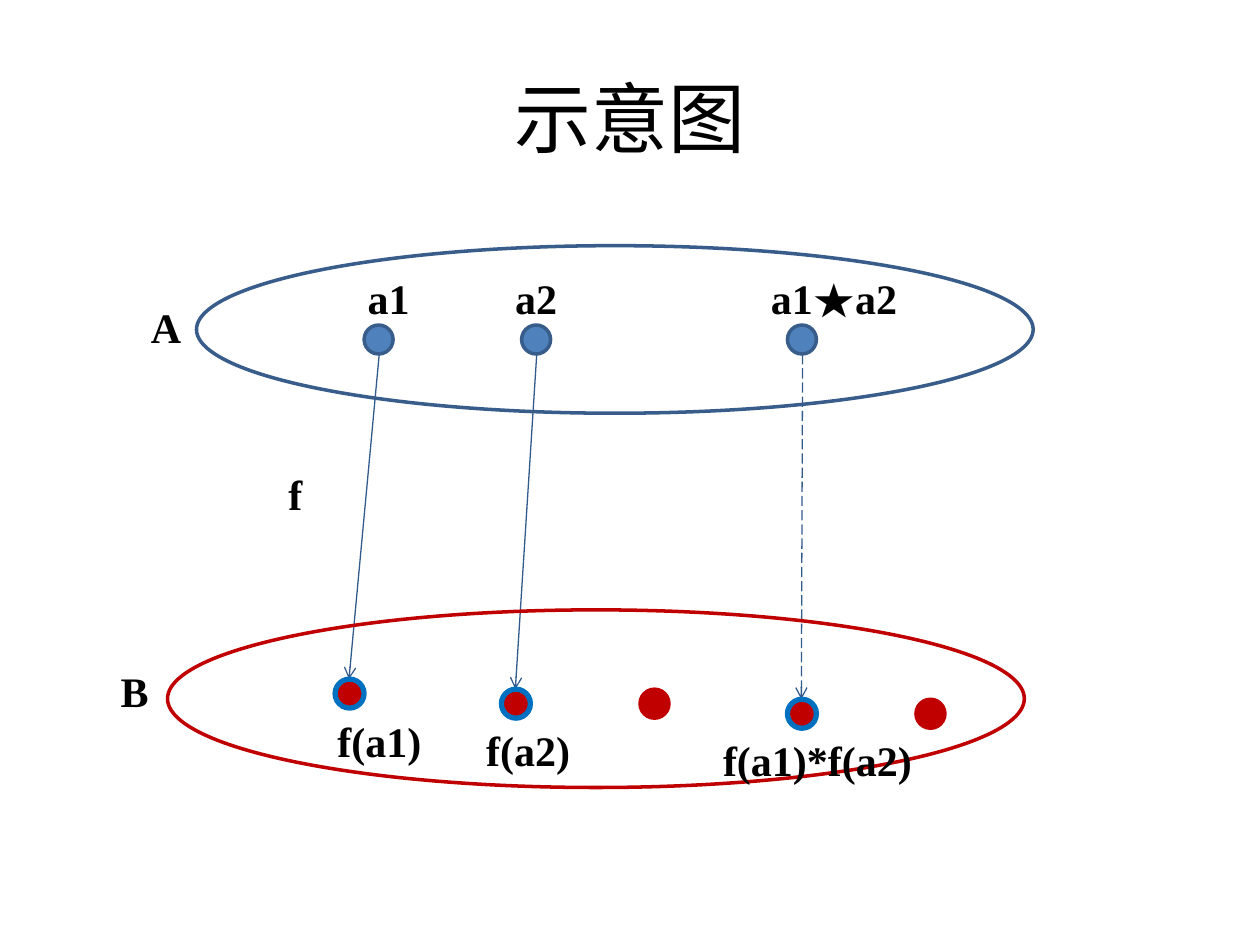
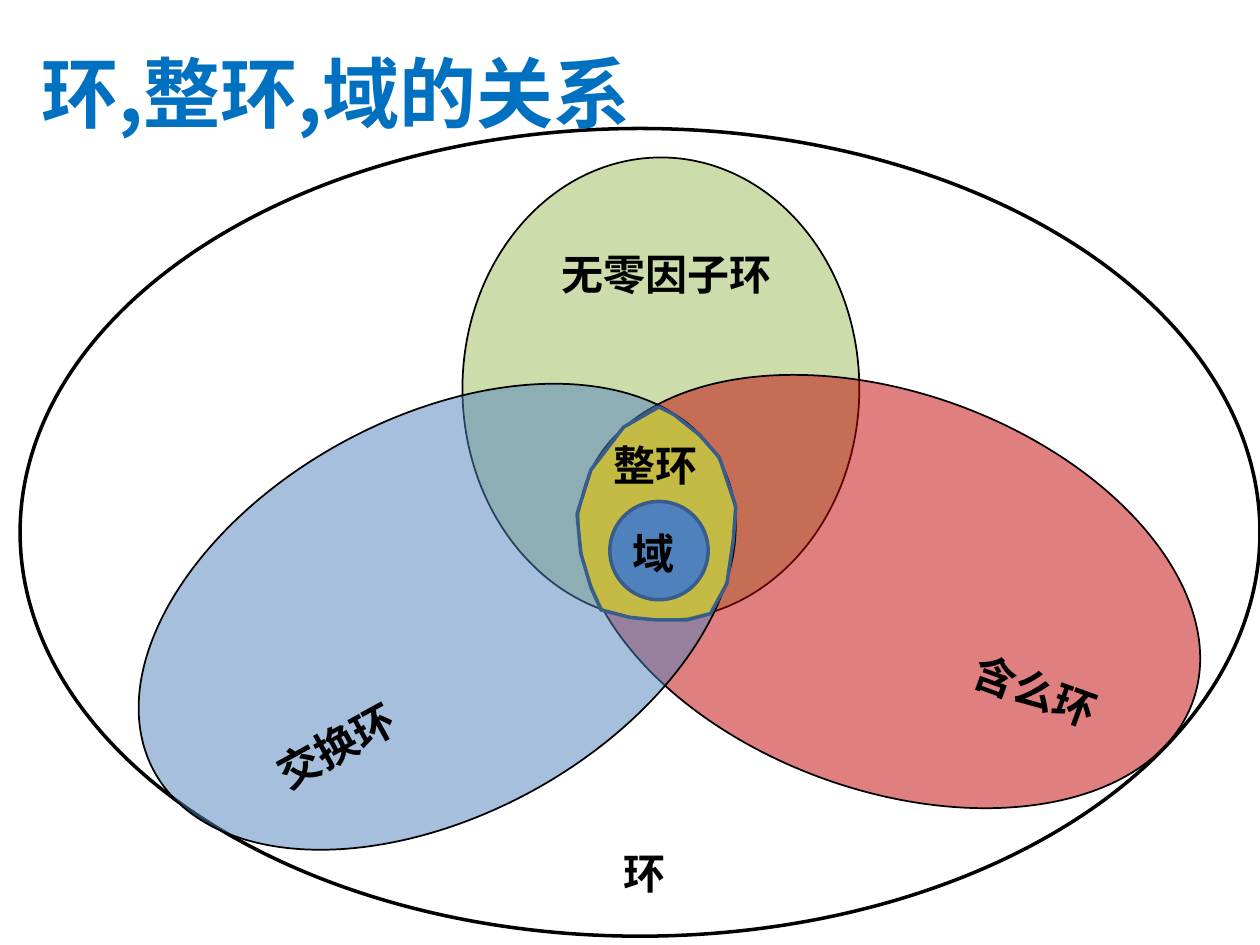
from dataclasses import dataclass
from typing import NamedTuple, Optional

from lxml import etree
from pptx import Presentation
from pptx.dml.color import RGBColor
from pptx.enum import dml, shapes, text
from pptx.oxml import ns
from pptx.util import Emu, Pt

PX = 9144  # 100 px to the inch


class TextStyle(NamedTuple):
    font: str
    size: int
    color: str
    bold: bool


@dataclass(frozen=True)
class Theme:
    black: str = "000000"
    blue: str = "4F81BD"
    edge: str = "385D8A"
    arrow: str = "325B8C"
    azure: str = "0070C0"
    red: str = "C00000"
    green: str = "9BBB59"
    yellow: str = "FFFF00"
    label: TextStyle = TextStyle("Times New Roman", 24, "000000", True)
    plain_title: TextStyle = TextStyle("Arial", 44, "000000", False)
    bold_title: TextStyle = TextStyle("Noto Sans CJK JP", 44, "0070C0", True)


THEME = Theme()
DOT = 23
LABEL_HEIGHT = 50


class Box(NamedTuple):
    left: int
    top: int
    width: int
    height: int


class Look(NamedTuple):
    fill: Optional[str]
    line: str
    weight: float
    alpha: int = 100


@dataclass(frozen=True)
class Label:
    words: str
    left: int
    top: int
    width: int
    rotation: float = 0
    centered: bool = False


@dataclass(frozen=True)
class Oval:
    box: Box
    look: Look
    label: Label
    rotation: float = 0


@dataclass(frozen=True)
class Mapping:
    element: Label
    image: Label
    element_left: int
    image_left: int
    image_top: int
    dashed: bool = False


def emu(*lengths: int) -> list[Emu]:
    return [Emu(length * PX) for length in lengths]


# Drawing functions
def paint(shape, look: Look) -> None:
    shape.shadow.inherit = False
    shape.line.color.rgb = RGBColor.from_string(look.line)
    shape.line.width = Pt(look.weight)
    if look.fill is None:
        shape.fill.background()
        return
    shape.fill.solid()
    shape.fill.fore_color.rgb = RGBColor.from_string(look.fill)
    if look.alpha < 100:
        color = shape.fill._xPr.find(".//" + ns.qn("a:srgbClr"))
        etree.SubElement(color, ns.qn("a:alpha"), val=str(look.alpha * 1000))


def add_ellipse(slide, box: Box, look: Look, rotation: float = 0) -> None:
    ellipse = slide.shapes.add_shape(shapes.MSO_SHAPE.OVAL, *emu(*box))
    ellipse.rotation = rotation
    paint(ellipse, look)


def add_text(slide, words: str, box: Box, style: TextStyle, wrap: bool = False,
             centered: bool = False, rotation: float = 0):
    written = slide.shapes.add_textbox(*emu(*box))
    written.rotation = rotation
    frame = written.text_frame
    frame.word_wrap = wrap
    frame.auto_size = text.MSO_AUTO_SIZE.SHAPE_TO_FIT_TEXT
    frame.text = words
    paragraph = frame.paragraphs[0]
    paragraph.alignment = text.PP_ALIGN.CENTER if centered else text.PP_ALIGN.LEFT
    font = paragraph.font
    font.name, font.size, font.bold = style.font, Pt(style.size), style.bold
    font.color.rgb = RGBColor.from_string(style.color)
    return frame


def add_label(slide, label: Label) -> None:
    box = Box(label.left, label.top, label.width, LABEL_HEIGHT)
    add_text(slide, label.words, box, THEME.label,
             centered=label.centered, rotation=label.rotation)


def add_oval(slide, oval: Oval) -> None:
    add_ellipse(slide, oval.box, oval.look, oval.rotation)
    add_label(slide, oval.label)


def add_dot(slide, left: int, top: int, look: Look) -> None:
    add_ellipse(slide, Box(left, top, DOT, DOT), look)


def add_arrow(slide, start: tuple[int, int], end: tuple[int, int], dashed: bool) -> None:
    arrow = slide.shapes.add_connector(
        shapes.MSO_CONNECTOR.STRAIGHT, *emu(*start, *end))
    arrow.line.color.rgb = RGBColor.from_string(THEME.arrow)
    arrow.line.width = Pt(0.75)
    if dashed:
        arrow.line.dash_style = dml.MSO_LINE.LONG_DASH
    etree.SubElement(arrow.line._get_or_add_ln(), ns.qn("a:tailEnd"), type="arrow")
    etree.SubElement(arrow._element.spPr, ns.qn("a:effectLst"))


# Slide 1: a mapping f from set A to set B
ELEMENT_TOP = 258
ELEMENT = Look(THEME.blue, THEME.edge, 2)
IMAGE = Look(THEME.red, THEME.azure, 3)
UNMAPPED = Look(THEME.red, THEME.red, 2)
SETS = [
    Oval(Box(156, 195, 664, 133), Look(None, THEME.edge, 2), Label("A", 110, 234, 44)),
    Oval(Box(133, 484, 680, 141), Look(None, THEME.red, 2), Label("B", 86, 523, 42)),
]
MAPPINGS = [
    Mapping(Label("a1", 282, 211, 53), Label("f(a1)", 258, 563, 88), 289, 266, 539),
    Mapping(Label("a2", 399, 211, 53), Label("f(a2)", 376, 570, 88), 414, 398, 547),
    Mapping(Label("a1★a2", 602, 211, 120), Label("f(a1)*f(a2)", 564, 578, 170),
            625, 625, 555, dashed=True),
]
UNMAPPED_DOTS = [(508, 547), (727, 555)]


def draw_mapping(slide) -> None:
    title = add_text(slide, "示意图", Box(50, 30, 900, 125), THEME.plain_title,
                     wrap=True, centered=True)
    title.auto_size = text.MSO_AUTO_SIZE.NONE
    title.vertical_anchor = text.MSO_ANCHOR.MIDDLE
    for mapping in MAPPINGS:
        add_arrow(slide, (mapping.element_left + DOT // 2 + 1, ELEMENT_TOP + DOT),
                  (mapping.image_left + DOT // 2, mapping.image_top), mapping.dashed)
    add_label(slide, Label("f", 219, 367, 31))
    for oval in SETS:
        add_oval(slide, oval)
    for mapping in MAPPINGS:
        add_dot(slide, mapping.element_left, ELEMENT_TOP, ELEMENT)
        add_dot(slide, mapping.image_left, mapping.image_top, IMAGE)
        add_label(slide, mapping.element)
        add_label(slide, mapping.image)
    for left, top in UNMAPPED_DOTS:
        add_dot(slide, left, top, UNMAPPED)


# Slide 2: rings, integral domains and fields
RINGS = [
    Oval(Box(367, 125, 315, 367), Look(THEME.green, THEME.black, 1, 50),
         Label("无零因子环", 434, 192, 190, centered=True)),
    Oval(Box(16, 102, 984, 641), Look(None, THEME.black, 2), Label("环", 485, 668, 53)),
    Oval(Box(450, 312, 512, 315), Look(THEME.red, THEME.black, 1, 50),
         Label("含么环", 762, 523, 120, 20), 20),
    Oval(Box(91, 332, 512, 315), Look(THEME.blue, THEME.black, 1, 50),
         Label("交换环", 207, 567, 120, 331.3), 331.3),
]
FIELD = Oval(Box(484, 398, 78, 78), ELEMENT, Label("域", 492, 414, 54))
INTEGRAL_DOMAIN = [
    (523, 323), (495, 339), (469, 373), (458, 408), (461, 439), (469, 466),
    (477, 484), (500, 490), (521, 492), (545, 492), (564, 487), (577, 463),
    (582, 429), (584, 402), (571, 363), (555, 345), (535, 329),
]


def draw_rings(slide) -> None:
    for ring in RINGS:
        add_oval(slide, ring)
    add_text(slide, "环,整环,域的关系", Box(23, 31, 530, 157), THEME.bold_title, wrap=True)
    outline = slide.shapes.build_freeform(*INTEGRAL_DOMAIN[0], scale=PX)
    outline.add_line_segments(INTEGRAL_DOMAIN[1:], close=True)
    paint(outline.convert_to_shape(), Look(THEME.yellow, THEME.edge, 2, 50))
    add_oval(slide, FIELD)
    add_label(slide, Label("整环", 477, 344, 87))


def main() -> None:
    deck = Presentation()
    deck.slide_width, deck.slide_height = emu(1000, 750)
    for draw in (draw_mapping, draw_rings):
        draw(deck.slides.add_slide(deck.slide_layouts[6]))
    deck.save("out.pptx")


if __name__ == "__main__":
    main()
